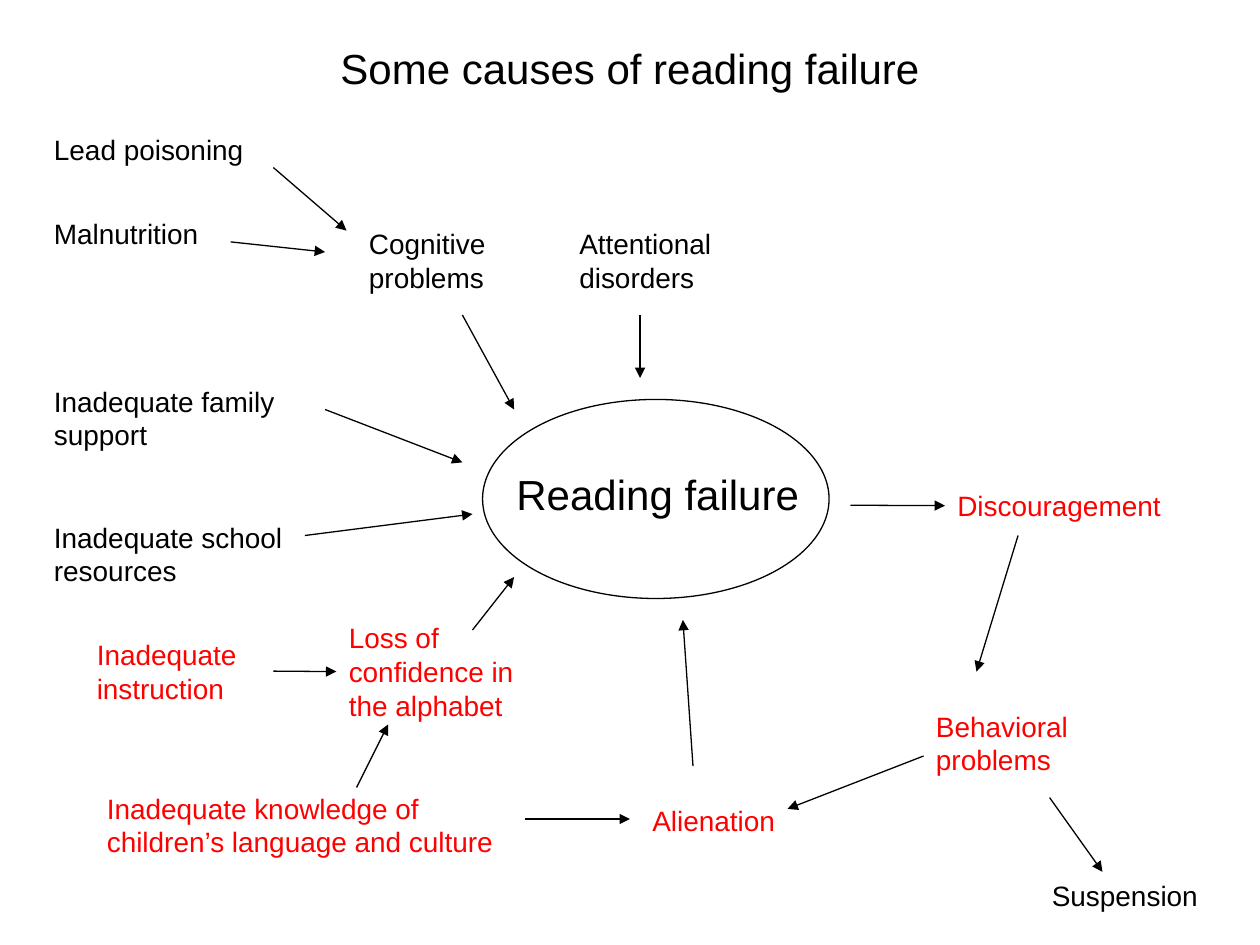
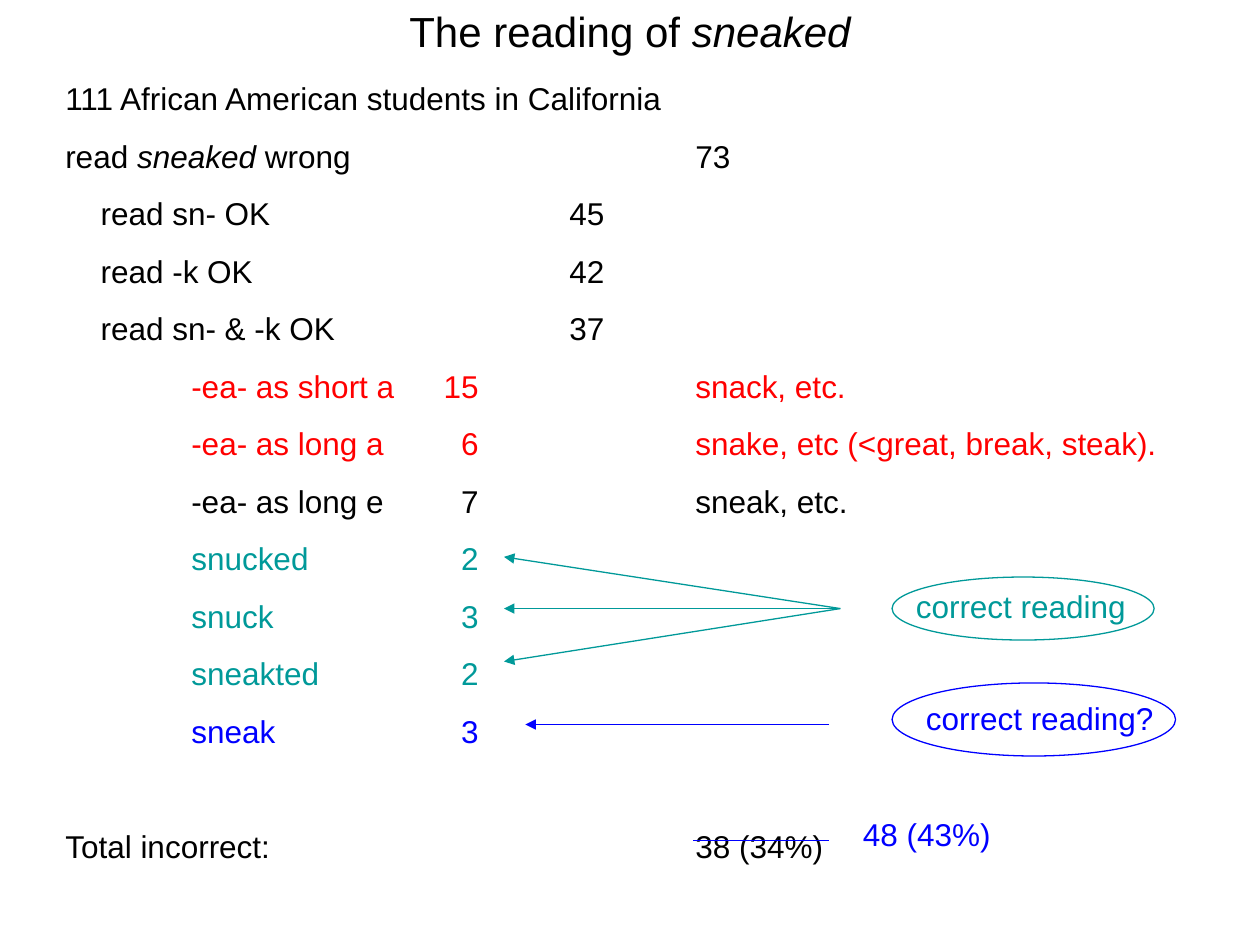
from lxml import etree
from pptx import Presentation
from pptx.dml.color import RGBColor
from pptx.enum.shapes import MSO_CONNECTOR, MSO_SHAPE
from pptx.enum.text import MSO_ANCHOR, PP_ALIGN
from pptx.oxml.ns import qn
from pptx.util import Inches, Pt

FONT = "Arial"
BLACK, RED, TEAL, BLUE = "000000", "FF0000", "009999", "0000FF"
LINE_FACTOR = 1.2
ROW_GAP = 11.25
LEFT_SIDE, RIGHT_SIDE = 1, 3

# Slide 1: text, left, top, width, lines, colour
CAUSES = [
    ("Lead poisoning", 0.33, 1, 2.33, 1, BLACK),
    ("Malnutrition", 0.33, 1.67, 1.58, 1, BLACK),
    ("Cognitive problems", 2.83, 1.75, 1.42, 2, BLACK),
    ("Attentional disorders", 4.5, 1.75, 2, 2, BLACK),
    ("Inadequate family support", 0.33, 3, 2.33, 2, BLACK),
    ("Inadequate school resources", 0.33, 4.08, 2.33, 2, BLACK),
    ("Inadequate instruction", 0.67, 5.01, 1.5, 2, RED),
    ("Loss of confidence in the alphabet", 2.67, 4.88, 1.67, 3, RED),
    ("Inadequate knowledge of children’s language and culture",
     0.75, 6.23, 3.4, 2, RED),
    ("Discouragement", 7.5, 3.83, 2.17, 1, RED),
    ("Behavioral problems", 7.33, 5.58, 1.58, 2, RED),
    ("Alienation", 5.08, 6.33, 2.5, 1, RED),
    ("Suspension", 8.25, 6.92, 1.5, 1, BLACK),
]
CAUSE_ARROWS = [
    ((2.17, 1.33), (2.75, 1.83)),
    ((1.83, 1.92), (2.58, 2)),
    ((3.67, 2.5), (4.08, 3.25)),
    ((5.08, 2.5), (5.08, 3)),
    ((2.58, 3.25), (3.67, 3.67)),
    ((2.42, 4.25), (3.75, 4.08)),
    ((3.75, 5), (4.08, 4.58)),
    ((2.83, 6.25), (3.08, 5.75)),
    ((4.17, 6.5), (5, 6.5)),
    ((8.08, 4.25), (7.75, 5.33)),
    ((7.33, 6), (6.25, 6.42)),
    ((5.5, 6.08), (5.42, 4.92)),
    ((8.33, 6.33), (8.75, 6.92)),
]
# Start point, or name of the box it leaves from; name of the box it enters
JOINED_ARROWS = [
    ("Inadequate instruction", "Loss of confidence in the alphabet"),
    ((6.75, 4.01), "Discouragement"),
]

# Slide 2: tab stops in inches from the text edge, then rows of text
TOTAL_STOPS = [(5, "l")]
PART_STOPS = [(0.28, "l"), (4, "l")]
VOWEL_STOPS = [(1, "l"), (3.28, "r"), (5, "l")]
READINGS = [
    ("111 African American students in California", TOTAL_STOPS, BLACK),
    ("read *sneaked* wrong\t73", TOTAL_STOPS, BLACK),
    ("\tread sn- OK\t45", PART_STOPS, BLACK),
    ("\tread -k OK\t42", PART_STOPS, BLACK),
    ("\tread sn- & -k OK\t37", PART_STOPS, BLACK),
    ("\t-ea- as short a\t15\tsnack, etc.", VOWEL_STOPS, RED),
    ("\t-ea- as long a\t6\tsnake, etc (<great, break, steak).", VOWEL_STOPS, RED),
    ("\t-ea- as long e\t7\tsneak, etc.", VOWEL_STOPS, BLACK),
    ("\tsnucked\t2", VOWEL_STOPS, TEAL),
    ("\tsnuck\t3", VOWEL_STOPS, TEAL),
    ("\tsneakted\t2", VOWEL_STOPS, TEAL),
    ("\tsneak\t3", VOWEL_STOPS, BLUE),
    ("Total incorrect:\t38 (34%)", TOTAL_STOPS, BLACK),
]
TOTAL_GAP = 2 * ROW_GAP + 18 * LINE_FACTOR
# text, text left and top, ellipse box, colour
VERDICTS = [
    ("correct reading", 7.17, 4.61, (7.08, 4.58, 2.08, 0.5), TEAL),
    ("correct reading?", 7.25, 5.5, (7.08, 5.42, 2.25, 0.58), BLUE),
]
FAN_START = (6.67, 4.83)
FAN_ENDS = [(4, 4.42), (4, 4.83), (4, 5.25)]


def color(value):
    return RGBColor.from_string(value)


def write(para, text, size=16, ink=BLACK, align=PP_ALIGN.LEFT, before=0, stops=()):
    """Fill a paragraph; parts between asterisks become italic."""
    para.alignment = align
    para.line_spacing = Pt(size * LINE_FACTOR)
    para.space_before = Pt(before)
    for index, part in enumerate(text.split("*")):
        if part:
            span = para.add_run()
            span.text = part
            span.font.name = FONT
            span.font.size = Pt(size)
            span.font.italic = index % 2 == 1
            span.font.color.rgb = color(ink)
    if stops:
        tab_list = etree.SubElement(para._p.get_or_add_pPr(), qn("a:tabLst"))
        for position, side in stops:
            etree.SubElement(tab_list, qn("a:tab"), pos=str(Inches(position)), algn=side)


def add_frame(page, left, top, width, height, anchor=MSO_ANCHOR.TOP):
    box = page.shapes.add_textbox(*map(Inches, (left, top, width, height)))
    box.text_frame.word_wrap = True
    box.text_frame.vertical_anchor = anchor
    return box


def add_label(page, text, left, top, width, lines=1, size=16, ink=BLACK):
    height = 0.1 + lines * size * LINE_FACTOR / 72
    box = add_frame(page, left, top, width, height)
    write(box.text_frame.paragraphs[0], text, size=size, ink=ink)
    return box


def add_title(page, text, top, height):
    box = add_frame(page, 0.75, top, 8.5, height, anchor=MSO_ANCHOR.MIDDLE)
    write(box.text_frame.paragraphs[0], text, size=24, align=PP_ALIGN.CENTER)


def add_ellipse(page, bounds, ink=BLACK):
    ellipse = page.shapes.add_shape(MSO_SHAPE.OVAL, *map(Inches, bounds))
    ellipse.shadow.inherit = False
    ellipse.fill.background()
    ellipse.line.color.rgb = color(ink)
    ellipse.line.width = Pt(0.75)


def add_line(page, start, end, ink=BLACK, arrow=True):
    line = page.shapes.add_connector(
        MSO_CONNECTOR.STRAIGHT, *map(Inches, (*start, *end)))
    line.line.color.rgb = color(ink)
    line.line.width = Pt(0.75)
    if arrow:
        etree.SubElement(line.line._get_or_add_ln(), qn("a:tailEnd"), type="triangle")
    etree.SubElement(line._element.spPr, qn("a:effectLst"))
    return line


def build_causes(page):
    add_title(page, "Some causes of reading failure", 0.25, 0.58)
    add_ellipse(page, (3.83, 3.17, 2.75, 1.58))
    add_label(page, "Reading failure", 4, 3.67, 2.75, size=24)
    boxes = {}
    for text, left, top, width, lines, ink in CAUSES:
        boxes[text] = add_label(page, text, left, top, width, lines, ink=ink)
    for start, end in CAUSE_ARROWS:
        add_line(page, start, end)
    for source, target in JOINED_ARROWS:
        leaves_box = source in boxes
        arrow = add_line(page, (0, 0) if leaves_box else source, (1, 1))
        if leaves_box:
            arrow.begin_connect(boxes[source], RIGHT_SIDE)
        arrow.end_connect(boxes[target], LEFT_SIDE)


def build_readings(page):
    add_title(page, "The reading of *sneaked*", 0.08, 0.33)
    frame = add_frame(page, 0.42, 0.58, 9, 6.33).text_frame
    for index, (text, stops, ink) in enumerate(READINGS):
        para = frame.add_paragraph() if index else frame.paragraphs[0]
        is_last = index == len(READINGS) - 1
        gap = TOTAL_GAP if is_last else ROW_GAP if index else 0
        write(para, text, size=18, ink=ink, before=gap, stops=stops)
    for text, left, top, bounds, ink in VERDICTS:
        add_label(page, text, left, top, 2.83, size=18, ink=ink)
        add_ellipse(page, bounds, ink)
    for end in FAN_ENDS:
        add_line(page, FAN_START, end, TEAL)
    add_line(page, (6.58, 5.75), (4.17, 5.75), BLUE)
    add_line(page, (5.5, 6.67), (6.58, 6.67), BLUE, arrow=False)
    add_label(page, "48 (43%)", 6.75, 6.42, 1.67, size=18, ink=BLUE)


def main():
    deck = Presentation()
    deck.slide_width, deck.slide_height = Inches(10), Inches(7.5)
    for build in (build_causes, build_readings):
        build(deck.slides.add_slide(deck.slide_layouts[6]))
    deck.save("out.pptx")


if __name__ == "__main__":
    main()
